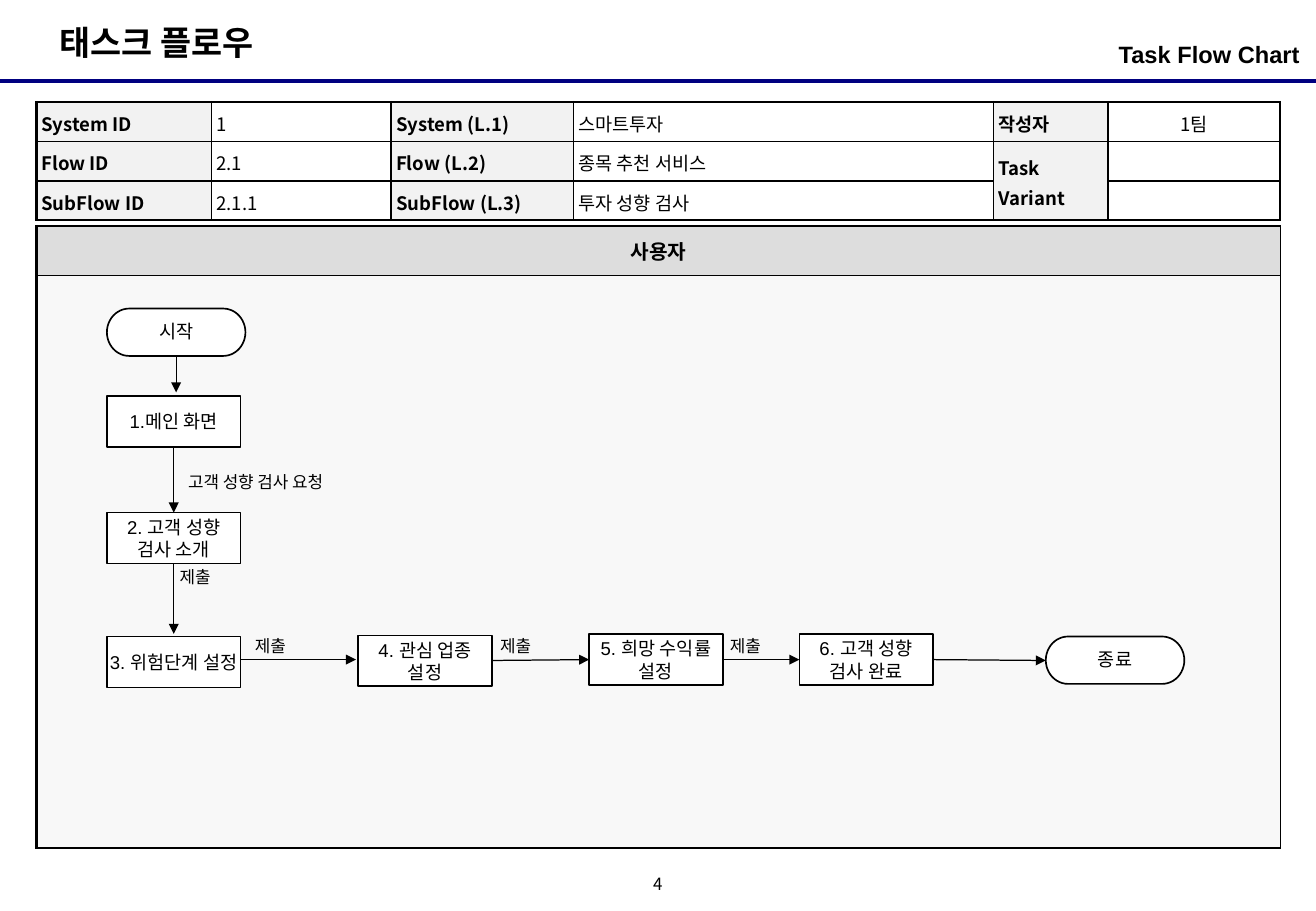
from lxml import etree
from pptx import Presentation
from pptx import util as u
from pptx.dml.color import RGBColor
from pptx.enum import shapes, text
from pptx.oxml import ns

Pt = u.Pt
COLORS = {"ink": "000000", "paper": "FFFFFF", "rule": "000080",
          "label": "F2F2F2", "lane_head": "DDDDDD", "lane": "F8F8F8"}
RGB = {name: RGBColor.from_string(value) for name, value in COLORS.items()}
LATIN, KOREAN = "Arial", "Noto Sans CJK KR"
LEFT, CENTER, RIGHT = text.PP_ALIGN.LEFT, text.PP_ALIGN.CENTER, text.PP_ALIGN.RIGHT
TOP, MIDDLE = text.MSO_ANCHOR.TOP, text.MSO_ANCHOR.MIDDLE


def write_text(frame, content, size, bold=False, align=LEFT, anchor=TOP,
               margins=(7.2, 3.6), spacing=1.0, font=LATIN):
    frame.word_wrap = True
    frame.vertical_anchor = anchor
    frame.margin_left = frame.margin_right = Pt(margins[0])
    frame.margin_top = frame.margin_bottom = Pt(margins[1])
    paragraph = frame.paragraphs[0]
    paragraph.alignment = align
    paragraph.line_spacing = spacing
    run = paragraph.add_run()
    run.text = content
    run.font.name, run.font.size, run.font.bold = font, Pt(size), bold
    run.font.color.rgb = RGB["ink"]
    east_asian = etree.SubElement(run.font._element, ns.qn("a:ea"))
    east_asian.set("typeface", KOREAN)


def style_cell(cell, borders, fill):
    """Set the left, right, top and bottom border widths, then the fill."""
    properties = cell._tc.get_or_add_tcPr()
    for side, width in zip("LRTB", borders):
        border = etree.SubElement(properties, ns.qn("a:ln" + side), w=str(Pt(width)))
        solid = etree.SubElement(border, ns.qn("a:solidFill"))
        etree.SubElement(solid, ns.qn("a:srgbClr"), val=COLORS["ink"])
    if fill:
        cell.fill.solid()
        cell.fill.fore_color.rgb = RGB[fill]
    else:
        cell.fill.background()


presentation = Presentation()
presentation.slide_width, presentation.slide_height = Pt(780), Pt(540)
slide = presentation.slides.add_slide(presentation.slide_layouts[6])

# Swimlane table
lane_frame = slide.shapes.add_table(2, 1, Pt(21.6), Pt(133.9), Pt(737.3), Pt(368.6))
lane = lane_frame.table
lane.first_row = lane.horz_banding = False
lane.rows[0].height, lane.rows[1].height = Pt(29.5), Pt(339.1)
head = lane.cell(0, 0)
write_text(head.text_frame, "사용자", 12, True, CENTER)
head.vertical_anchor = MIDDLE
style_cell(head, (1.5, 0.75, 1.5, 0.75), "lane_head")
style_cell(lane.cell(1, 0), (1.5, 0.75, 0.75, 1.5), "lane")

# Header table
info_rows = [
    ["System ID", "1", "System (L.1)", "스마트투자", "작성자", "1팀"],
    ["Flow ID", "2.1", "Flow (L.2)", "종목 추천 서비스", "Task Variant", ""],
    ["SubFlow ID", "2.1.1", "SubFlow (L.3)", "투자 성향 검사", "", ""],
]
info_widths = [103.7, 106.6, 108, 249.1, 67.7, 102.2]
info = slide.shapes.add_table(3, 6, Pt(21.6), Pt(60.5), Pt(737.3), Pt(67.5)).table
info.first_row = info.horz_banding = False
for column, width in zip(info.columns, info_widths):
    column.width = Pt(width)
info.cell(1, 4).merge(info.cell(2, 4))
for row, values in enumerate(info_rows):
    info.rows[row].height = Pt(22.5)
    for column, value in enumerate(values):
        cell = info.cell(row, column)
        is_label = column % 2 == 0
        if value:
            write_text(cell.text_frame, value, 11, is_label,
                       CENTER if column == 5 else LEFT, spacing=1.1, font=KOREAN)
        else:
            end = etree.SubElement(cell.text_frame.paragraphs[0]._p, ns.qn("a:endParaRPr"))
            end.set("sz", "1100")
        cell.vertical_anchor = MIDDLE if column > 3 else TOP
        cell.margin_left = cell.margin_right = Pt(2.9)
        cell.margin_top = cell.margin_bottom = Pt(2.9)
        on_edge = (column == 0, column == 5, row == 0, row + cell.span_height == 3)
        style_cell(cell, [1.5 if edge else 1 for edge in on_edge],
                   "label" if is_label else None)

# Header rule and flow arrows: start, end, colour, width
ARROW = ("ink", 0.75)
lines = [
    ((0, 48.2), (780, 48.2), "rule", 2.25),
    ((104.4, 211), (104.4, 232.6), *ARROW),
    ((103, 264.5), (103, 303.8), *ARROW),
    ((103, 334.1), (103, 375.8), *ARROW),
    ((142.6, 391), (211, 391), *ARROW),
    ((292.3, 391.5), (349.2, 391), *ARROW),
    ((428.4, 391), (473.8, 391), *ARROW),
    ((553, 391), (619.9, 391.5), *ARROW),
]
for start, end, color, width in lines:
    connector = slide.shapes.add_connector(
        shapes.MSO_CONNECTOR.STRAIGHT, *map(Pt, start + end))
    connector.line.color.rgb = RGB[color]
    connector.line.width = Pt(width)
    if color == "ink":
        etree.SubElement(connector.line._get_or_add_ln(), ns.qn("a:tailEnd"), type="triangle")
    etree.SubElement(connector._element.spPr, ns.qn("a:effectLst"))

# Flow steps
STEP = (shapes.MSO_SHAPE.RECTANGLE, 79.2, 30.2, 1.0)
TERMINAL = (shapes.MSO_SHAPE.FLOWCHART_TERMINATOR, 82.1, 28.1, 0.9)
nodes = [
    ("시작", 63.4, 182.9, TERMINAL),
    ("1.메인 화면", 63.4, 234.7, STEP),
    ("2. 고객 성향 검사 소개", 63.4, 303.8, STEP),
    ("3. 위험단계 설정", 63.4, 377.3, STEP),
    ("4. 관심 업종 설정", 212.4, 376.6, STEP),
    ("5. 희망 수익률 설정", 349.2, 375.8, STEP),
    ("6. 고객 성향 검사 완료", 473.8, 375.8, STEP),
    ("종료", 619.9, 377.3, TERMINAL),
]
for name, left, top, (preset, width, height, spacing) in nodes:
    shape = slide.shapes.add_shape(preset, Pt(left), Pt(top), Pt(width), Pt(height))
    shape.shadow.inherit = False
    shape.fill.solid()
    shape.fill.fore_color.rgb = RGB["paper"]
    shape.line.color.rgb = RGB["ink"]
    shape.line.width = Pt(1)
    write_text(shape.text_frame, name, 11, False, CENTER, MIDDLE, (1.4, 0), spacing)

# Titles, arrow labels and page number
SUBMIT = ("제출", 38.2, 19.4, {"size": 10})
captions = [
    (28.1, 9.4, "태스크 플로우", 142.6, 31.7, {"size": 20, "bold": True}),
    (532.1, 20.2, "Task Flow Chart", 238.3, 28.1,
     {"size": 14, "bold": True, "align": RIGHT, "margins": (0, 3.6)}),
    (104.4, 275.8, "고객 성향 검사 요청", 117.4, 19.4, {"size": 10}),
    (99.4, 332.6, *SUBMIT),
    (144, 373, *SUBMIT),
    (289.4, 373, *SUBMIT),
    (425.5, 373, *SUBMIT),
    (378, 516.2, "4", 23.8, 18,
     {"size": 10, "align": CENTER, "anchor": MIDDLE, "margins": (0, 0),
      "spacing": 0.8, "font": KOREAN}),
]
for left, top, content, width, height, style in captions:
    box = slide.shapes.add_textbox(Pt(left), Pt(top), Pt(width), Pt(height))
    write_text(box.text_frame, content, **style)

presentation.save("out.pptx")
